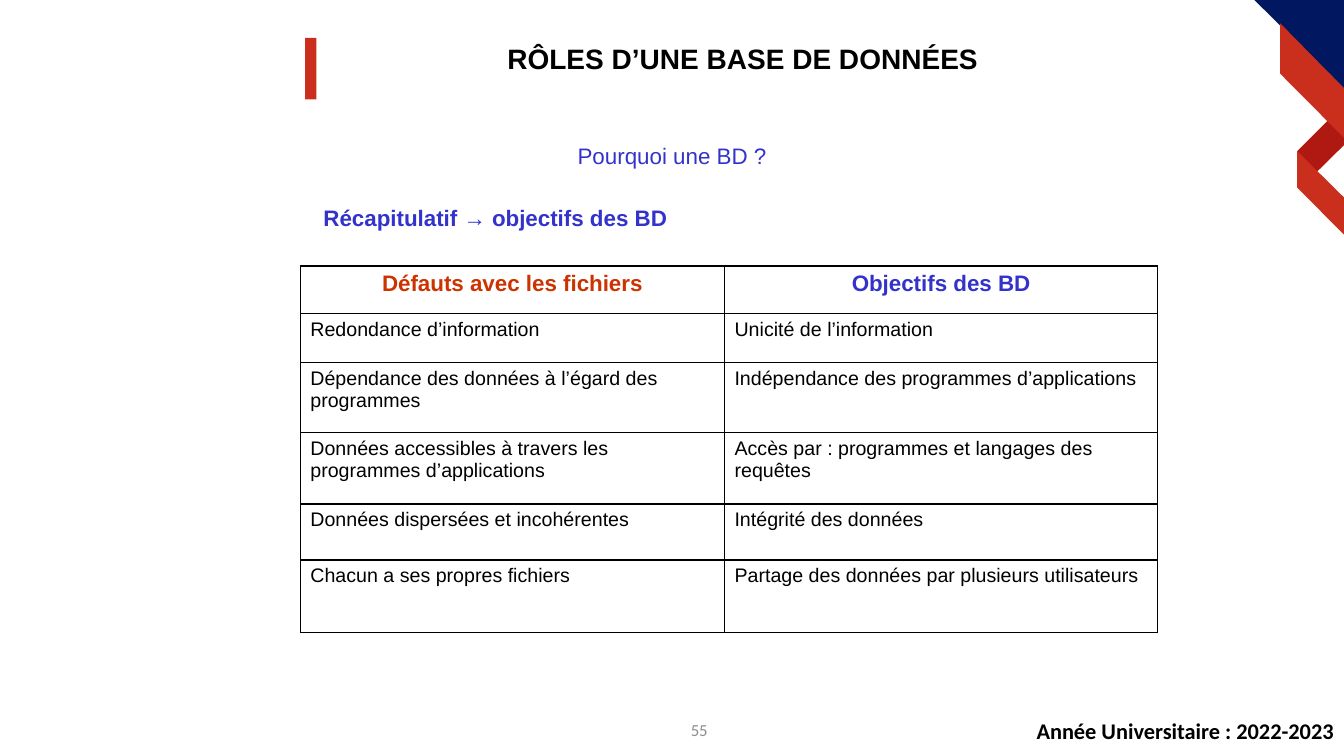
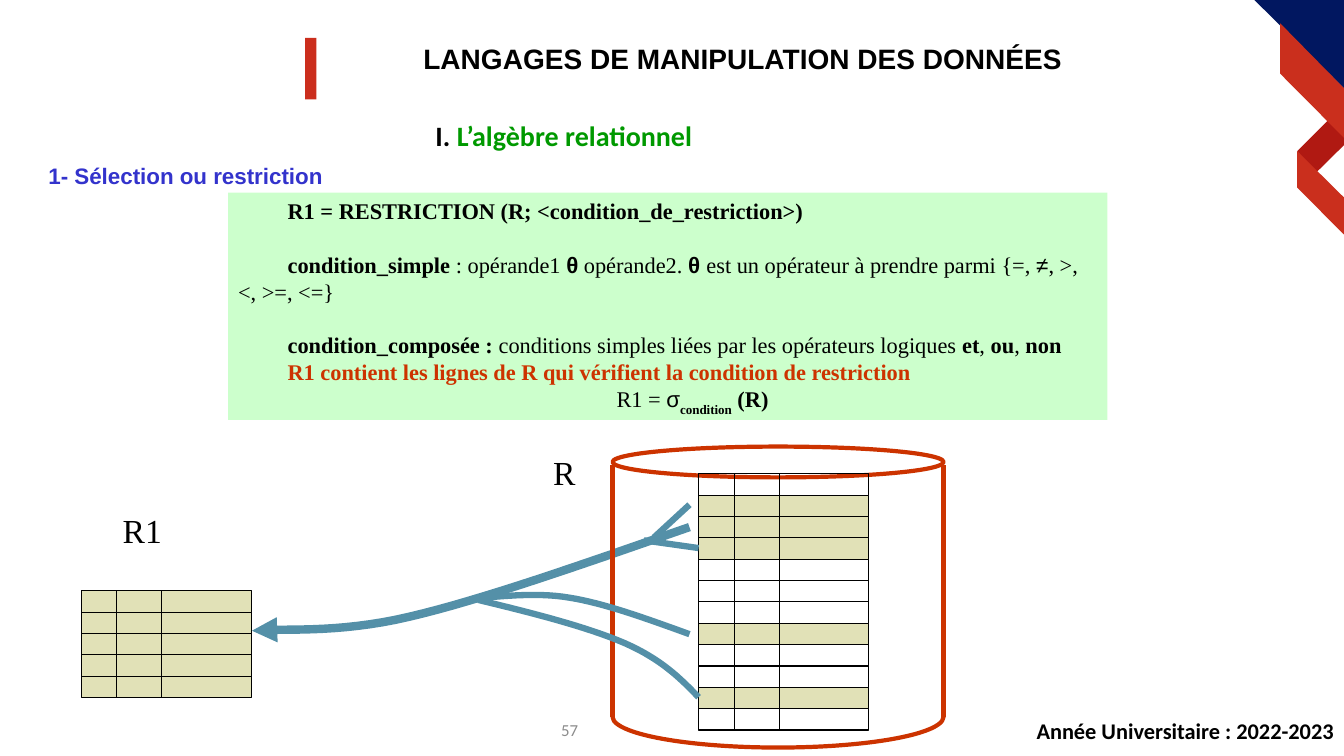
from pptx import Presentation
from pptx.dml.color import RGBColor as RGB
from pptx.enum.shapes import MSO_CONNECTOR as LINK, MSO_SHAPE as FORM
from pptx.enum.text import MSO_ANCHOR as ANCHOR, PP_ALIGN as ALIGN
from pptx.oxml.ns import qn
from pptx.util import Pt
from lxml.etree import SubElement as Sub

INK = {
    "black": "000000", "white": "FFFFFF", "gray": "8C8C8C", "blue": "3333CC",
    "rust": "CC3300", "green": "009900", "mint": "CCFFCC", "sand": "E1E1B7",
    "teal": "5490A8", "navy": "011760", "red": "CA2F1D", "dark": "B01912",
    "bar": "CB2E1D",
}
SERIF = "Times New Roman"

# Corner ribbon, back to front
RIBBON = [
    ("dark", [(949.7, 85), (960, 97.3), (960, 103.7), (939.6, 123.8), (926.6, 108)]),
    ("navy", [(896, 0), (960, 0), (960, 63)]),
    ("red", [(926.6, 108), (960, 141), (960, 167.5), (926.6, 134)]),
    ("red", [(914.4, 16.6), (960, 63), (960, 98.5), (914.4, 52.6)]),
]


def tone(name):
    return RGB.from_string(INK[name])


def style(font, size=16, face="Arial", ink="black", bold=False):
    font.size, font.name, font.bold = Pt(size), face, bold
    font.color.rgb = tone(ink)


def curve(start, *parts, steps=16):
    """Points along joined cubic Bezier parts."""
    pts = [start]
    for b, c, d in parts:
        a = pts[-1]
        for i in range(1, steps + 1):
            t = i / steps
            u = 1 - t
            pts.append(tuple(
                u**3 * p + 3 * u * u * t * q + 3 * u * t * t * r + t**3 * s
                for p, q, r, s in zip(a, b, c, d)))
    return pts


class Deck:
    def __init__(self):
        self.prs = Presentation()
        self.prs.slide_width, self.prs.slide_height = Pt(960), Pt(540)

    def slide(self, title, page, x, align):
        """New slide with the shared ribbon, title and footer."""
        self.art = self.prs.slides.add_slide(self.prs.slide_layouts[6]).shapes
        for ink, pts in RIBBON:
            self.free(pts, fill=ink)
        self.shape((218, 27, 8, 44), fill="bar")
        self.text((246, 29, 569, 47), title, align=ALIGN.CENTER, gap=0.9,
                  size=20, bold=True)
        self.text((700, 507, 260, 30), "Année Universitaire : 2022-2023",
                  align=ALIGN.RIGHT, mid=True, face="Calibri", bold=True)
        self.text((x, 507, 216, 29), str(page), align=align, mid=True,
                  size=12, face="Calibri", ink="gray")

    def paint(self, item, fill=None, line=None, width=0.75):
        item.shadow.inherit = False
        if fill:
            item.fill.solid()
            item.fill.fore_color.rgb = tone(fill)
        else:
            item.fill.background()
        if line:
            item.line.color.rgb = tone(line)
            item.line.width = Pt(width)
        else:
            item.line.fill.background()
        return item

    def shape(self, box, form=FORM.RECTANGLE, **look):
        return self.paint(self.art.add_shape(form, *map(Pt, box)), **look)

    def free(self, pts, shut=True, arrow=False, **look):
        pts = [(Pt(x), Pt(y)) for x, y in pts]
        pen = self.art.build_freeform(*pts[0], scale=1.0)
        pen.add_line_segments(pts[1:], close=shut)
        item = self.paint(pen.convert_to_shape(), **look)
        if arrow:
            Sub(item._element.spPr.find(qn("a:ln")), qn("a:tailEnd"), type="triangle")

    def line(self, x1, y1, x2, y2, ink="black", width=0.75):
        link = self.art.add_connector(LINK.STRAIGHT, *map(Pt, (x1, y1, x2, y2)))
        link.line.color.rgb, link.line.width = tone(ink), Pt(width)
        Sub(link._element.spPr, qn("a:effectLst"))

    def pour(self, par, body, align=ALIGN.LEFT, gap=1.0, **base):
        """Fill a paragraph from a string or from (text, changes) runs."""
        par.alignment, par.line_spacing = align, gap
        if isinstance(body, str):
            par.text = body
            style(par.font, **base)
            return
        for words, diff in body:
            look = {**base, **diff}
            sub = look.pop("sub", False)
            run = par.add_run()
            run.text = words
            style(run.font, **look)
            if sub:
                run._r.get_or_add_rPr().set("baseline", "-30000")

    def text(self, box, body, mid=False, **look):
        frame = self.art.add_textbox(*map(Pt, box)).text_frame
        frame.word_wrap = True
        frame.vertical_anchor = ANCHOR.MIDDLE if mid else ANCHOR.TOP
        self.pour(frame.paragraphs[0], body, **look)

    def panel(self, box, fill, rows, **base):
        """Filled box of indented paragraphs: (body, space before, changes)."""
        frame = self.shape(box, fill=fill).text_frame
        frame.vertical_anchor = ANCHOR.TOP
        for i, (body, space, diff) in enumerate(rows):
            par = frame.add_paragraph() if i else frame.paragraphs[0]
            par._p.get_or_add_pPr().set("indent", str(Pt(35.4)))
            par.space_before = Pt(space)
            self.pour(par, body, **{**base, **diff})

    def table(self, x, y, cols, rows, data, heads):
        grid = self.art.add_table(len(rows), len(cols), Pt(x), Pt(y),
                                  Pt(sum(cols)), Pt(sum(rows))).table
        grid.first_row = grid.horz_banding = False
        for col, wide in zip(grid.columns, cols):
            col.width = Pt(wide)
        for r, (row, high) in enumerate(zip(grid.rows, rows)):
            row.height = Pt(high)
            for cell, words, ink in zip(row.cells, data[r], heads):
                edge = cell._tc.get_or_add_tcPr()
                for side in ("lnL", "lnR", "lnT", "lnB"):
                    ln = Sub(edge, qn("a:" + side), w=str(Pt(1)))
                    fill = Sub(ln, qn("a:solidFill"))
                    Sub(fill, qn("a:srgbClr"), val=INK["black"])
                cell.fill.background()
                cell.text = words
                for par in cell.text_frame.paragraphs:
                    if r:
                        style(par.font, 14)
                    else:
                        par.alignment = ALIGN.CENTER
                        style(par.font, ink=ink, bold=True)

    def tuples(self, x, y, marks, high=15.25):
        """Stacked three-field records; a true mark shades the record."""
        for i, mark in enumerate(marks):
            top = y + i * high
            self.shape((x, top, 121.5, high), fill="sand" if mark else None, line="black")
            for dx in (25.5, 57.5):
                self.line(x + dx, top, x + dx, top + high)


def goals(deck):
    deck.slide("RÔLES D’UNE BASE DE DONNÉES", 55, 391.5, ALIGN.CENTER)
    deck.text((154, 88.5, 652, 40), "Pourquoi une BD ?", align=ALIGN.CENTER,
              gap=1.5, ink="blue")
    deck.text((224, 132.5, 296, 40), "Récapitulatif → objectifs des BD",
              gap=1.5, ink="blue", bold=True)
    deck.table(214.5, 190, [303, 309.5], [34, 35, 50, 51, 40, 52], [
        ("Défauts avec les fichiers", "Objectifs des BD"),
        ("Redondance d’information", "Unicité de l’information"),
        ("Dépendance des données à l’égard des\nprogrammes",
         "Indépendance des programmes d’applications"),
        ("Données accessibles à travers les\nprogrammes d’applications",
         "Accès par : programmes et langages des\nrequêtes"),
        ("Données dispersées et incohérentes", "Intégrité des données"),
        ("Chacun a ses propres fichiers",
         "Partage des données par plusieurs utilisateurs"),
    ], ["rust", "blue"])


def select(deck):
    deck.slide("LANGAGES DE MANIPULATION DES DONNÉES", 57, 204, ALIGN.RIGHT)
    deck.text((304, 81, 400, 32), [("I. ", {}), ("L’algèbre relationnel", {"ink": "green"})],
              size=20, face="Calibri", bold=True)
    deck.text((27.5, 103, 652, 40), "1- Sélection ou restriction",
              gap=1.5, ink="blue", bold=True)

    # Main arrow, then the storage drum over it
    deck.free(curve((492.5, 376.5), ((418, 402.5), (344, 428.5), (292.5, 440.5)),
                    ((240, 453), (199, 448.5), (180, 450.5))),
              shut=False, arrow=True, line="teal", width=6)
    left, wide = 437.5, 236.5
    for y, high in ((490, 44), (319, 22)):
        deck.shape((left, y, wide, high), FORM.OVAL, fill="white", line="rust", width=3)
    deck.shape((left, 481, wide, 31), fill="white")
    for x in (left, left + wide):
        deck.line(x, 332.5, x, 512, "rust", 3)

    # Relations R and R1
    deck.tuples(499, 338.5, [i in (1, 2, 3, 7, 10) for i in range(12)])
    deck.tuples(58, 422, [True] * 5)
    deck.text((80.5, 361, 51, 36), "R1", size=24, face=SERIF)
    deck.text((388, 319, 51, 36), "R", size=24, face=SERIF)

    # Branches from the selected records
    for pts in (
        curve((492.5, 453), ((462, 442), (432, 431), (407, 427)),
              ((381.5, 422.5), (352, 427), (341.5, 427))),
        curve((499, 498), ((486, 484.5), (472.5, 471), (446.5, 459.5)),
              ((420, 448), (381, 438), (341.5, 428.5))),
        [(499, 391.5), (460, 386)],
        [(492.5, 360.5), (467, 384)],
    ):
        deck.free(pts, shut=False, line="teal", width=4.5)

    # Definition panel
    bold, sign = {"bold": True}, {"face": "Arial"}
    mark = {**bold, **sign}
    deck.panel((163, 137.5, 628, 162.5), "mint", [
        ("R1 = RESTRICTION (R; <condition_de_restriction>)", 0, bold),
        ([("condition_simple", bold), (" : opérande1 ", {}), ("θ", mark),
          (" opérande2. ", {}), ("θ ", mark),
          ("est un opérateur à prendre parmi {=, ", {}), ("≠", sign),
          (", >, <, >=, <=}", {})], 19, {}),
        ([("condition_composée :", bold),
          (" conditions simples liées par les opérateurs logiques ", {}),
          ("et", bold), (", ", {}), ("ou", bold), (", ", {}), ("non", bold)], 19, {}),
        ("R1 contient les lignes de R qui vérifient la condition de restriction",
         0, {"ink": "rust", "bold": True}),
        ([("R1 = ", {}), ("σ", sign), ("condition", {"bold": True, "sub": True}),
          (" (R)", bold)], 0, {"align": ALIGN.CENTER}),
    ], face=SERIF)


def main():
    deck = Deck()
    goals(deck)
    select(deck)
    deck.prs.save("out.pptx")


if __name__ == "__main__":
    main()
